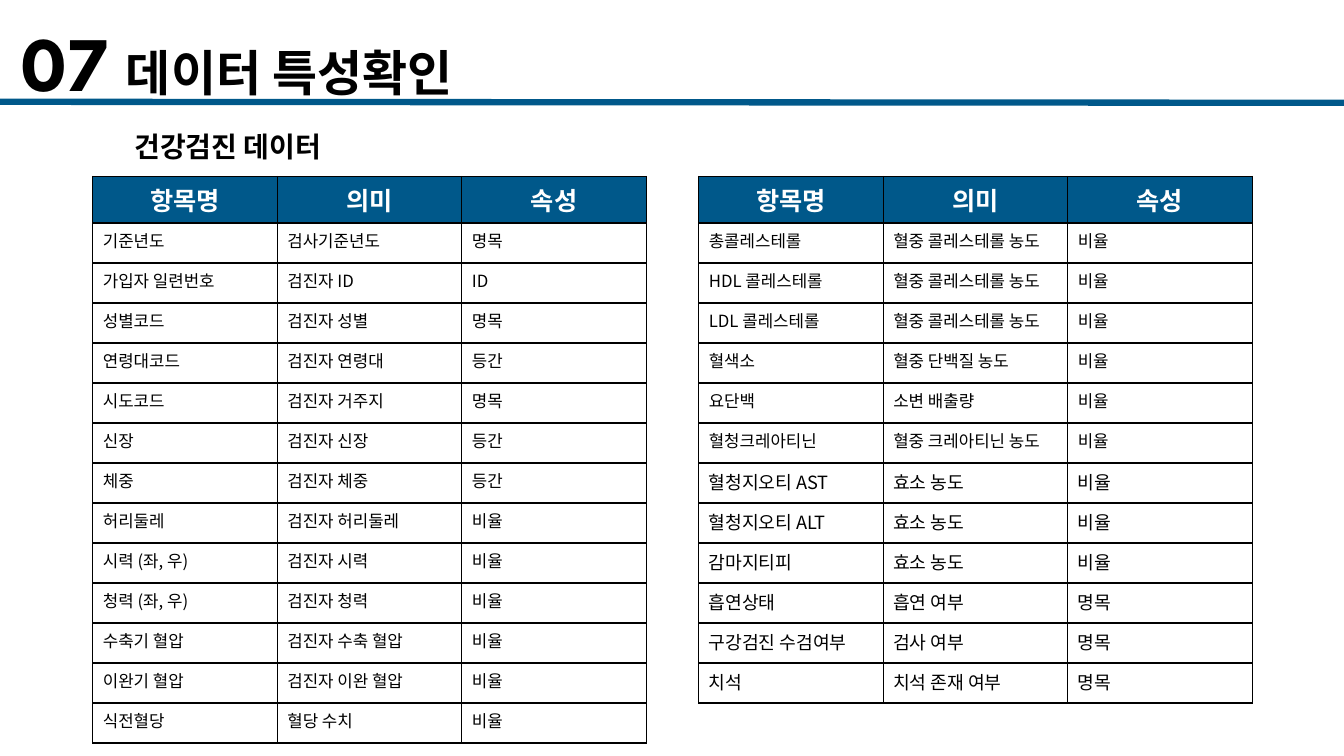
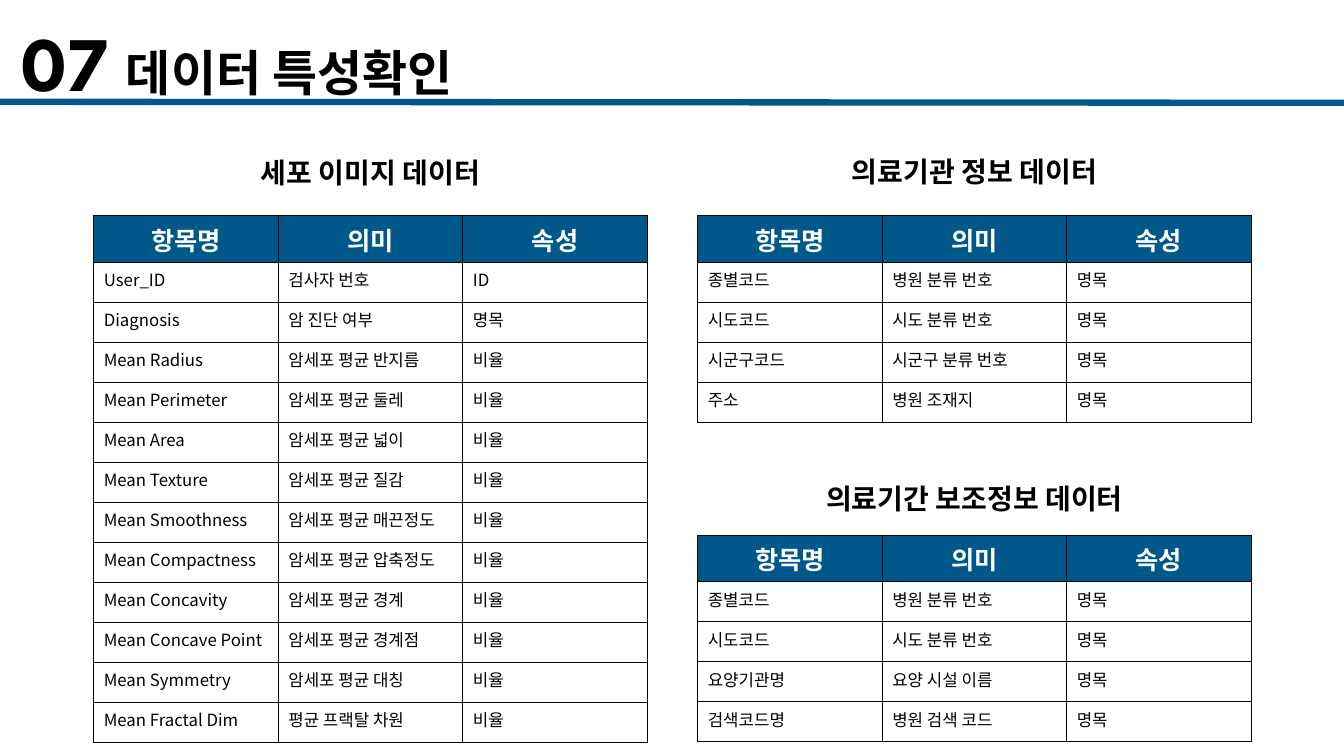
"""Build two slides that list the fields, meanings and scales of the data sets."""
import pptx
import pptx.dml.color
import pptx.enum.shapes
import pptx.enum.text
import pptx.oxml
import pptx.oxml.ns
import pptx.util

Inches = pptx.util.Inches
Pt = pptx.util.Pt
ALIGN = pptx.enum.text.PP_ALIGN
MIDDLE = pptx.enum.text.MSO_ANCHOR.MIDDLE

BLUE = pptx.dml.color.RGBColor(0x00, 0x58, 0x8A)
BLACK = pptx.dml.color.RGBColor(0x00, 0x00, 0x00)
WHITE = pptx.dml.color.RGBColor(0xFF, 0xFF, 0xFF)
KOREAN_FONT = "Noto Sans CJK KR"
TITLE_FONT = "League Spartan"

TITLE_SPANS = [("07", 55), (" ", 46.7), ("데이터 특성확인", 35)]
HEADER = ("항목명", "의미", "속성")
TABLE_WIDTH = Inches(5.49)
ROW_HEIGHT = Inches(5.16) // 13
HEADER_FORMAT = {"name": KOREAN_FONT, "size": Pt(18), "bold": True}
BODY_FORMAT = {"name": KOREAN_FONT, "size": Pt(12), "bold": False}
LARGE_BODY_FORMAT = BODY_FORMAT | {"size": Pt(13)}
HEADING_FORMAT = {"name": KOREAN_FONT, "size": Pt(20), "bold": True}

CHECKUP = [
    ("기준년도", "검사기준년도", "명목"),
    ("가입자 일련번호", "검진자 ID", "ID"),
    ("성별코드", "검진자 성별", "명목"),
    ("연령대코드", "검진자 연령대", "등간"),
    ("시도코드", "검진자 거주지", "명목"),
    ("신장", "검진자 신장", "등간"),
    ("체중", "검진자 체중", "등간"),
    ("허리둘레", "검진자 허리둘레", "비율"),
    ("시력 (좌, 우)", "검진자 시력", "비율"),
    ("청력 (좌, 우)", "검진자 청력", "비율"),
    ("수축기 혈압", "검진자 수축 혈압", "비율"),
    ("이완기 혈압", "검진자 이완 혈압", "비율"),
    ("식전혈당", "혈당 수치", "비율"),
]
BLOOD = [
    ("총콜레스테롤", "혈중 콜레스테롤 농도", "비율"),
    ("HDL 콜레스테롤", "혈중 콜레스테롤 농도", "비율"),
    ("LDL 콜레스테롤", "혈중 콜레스테롤 농도", "비율"),
    ("혈색소", "혈중 단백질 농도", "비율"),
    ("요단백", "소변 배출량", "비율"),
    ("혈청크레아티닌", "혈중 크레아티닌 농도", "비율"),
]
ENZYMES_AND_HABITS = [
    ("혈청지오티 AST", "효소 농도", "비율"),
    ("혈청지오티 ALT", "효소 농도", "비율"),
    ("감마지티피", "효소 농도", "비율"),
    ("흡연상태", "흡연 여부", "명목"),
    ("구강검진 수검여부", "검사 여부", "명목"),
    ("치석", "치석 존재 여부", "명목"),
]
CELL_IMAGES = [
    ("User_ID", "검사자 번호", "ID"),
    ("Diagnosis", "암 진단 여부", "명목"),
    ("Mean Radius", "암세포 평균 반지름", "비율"),
    ("Mean Perimeter", "암세포 평균 둘레", "비율"),
    ("Mean Area", "암세포 평균 넓이", "비율"),
    ("Mean Texture", "암세포 평균 질감", "비율"),
    ("Mean Smoothness", "암세포 평균 매끈정도", "비율"),
    ("Mean Compactness", "암세포 평균 압축정도", "비율"),
    ("Mean Concavity", "암세포 평균 경계", "비율"),
    ("Mean Concave Point", "암세포 평균 경계점", "비율"),
    ("Mean Symmetry", "암세포 평균 대칭", "비율"),
    ("Mean Fractal Dim", "평균 프랙탈 차원", "비율"),
]
REGION_CODES = [
    ("종별코드", "병원 분류 번호", "명목"),
    ("시도코드", "시도 분류 번호", "명목"),
]
INSTITUTIONS = REGION_CODES + [
    ("시군구코드", "시군구 분류 번호", "명목"),
    ("주소", "병원 조재지", "명목"),
]
INSTITUTION_DETAILS = REGION_CODES + [
    ("요양기관명", "요양 시설 이름", "명목"),
    ("검색코드명", "병원 검색 코드", "명목"),
]

PAGES = [
    {
        "headings": [("건강검진 데이터", 0.92, 1.01, 2.68)],
        "tables": [(0.92, 1.75, CHECKUP, []),
                   (6.93, 1.75, BLOOD, ENZYMES_AND_HABITS)],
    },
    {
        "headings": [("세포 이미지 데이터", 0.93, 1.27, 5.49),
                     ("의료기관 정보 데이터", 6.92, 1.26, 5.49),
                     ("의료기간 보조정보 데이터", 6.92, 4.5, 5.49)],
        "tables": [(0.93, 2.14, CELL_IMAGES, []),
                   (6.92, 2.14, INSTITUTIONS, []),
                   (6.92, 5.31, INSTITUTION_DETAILS, [])],
    },
]


def add_span(para, text, font_format, color=BLACK):
    span = para.add_run()
    span.text = text
    for name, value in font_format.items():
        setattr(span.font, name, value)
    span.font.color.rgb = color
    east_asian = pptx.oxml.parse_xml(
        f'<a:ea {pptx.oxml.ns.nsdecls("a")} typeface="{KOREAN_FONT}"/>')
    span.font._element.append(east_asian)


def add_title(page):
    title = page.shapes.title
    title.left, title.top = Inches(0.08), Inches(0.2)
    title.width, title.height = Inches(12.67), Inches(0.81)
    frame_format = {
        "auto_size": pptx.enum.text.MSO_AUTO_SIZE.NONE,
        "word_wrap": True,
        "vertical_anchor": MIDDLE,
        "margin_left": Inches(0.13),
        "margin_right": Inches(0.13),
        "margin_top": Inches(0.07),
        "margin_bottom": Inches(0.07),
    }
    for name, value in frame_format.items():
        setattr(title.text_frame, name, value)
    para = title.text_frame.paragraphs[0]
    para.alignment = ALIGN.LEFT
    for text, size in TITLE_SPANS:
        add_span(para, text, {"name": TITLE_FONT, "size": Pt(size), "bold": True})


def add_rule(page, width):
    rule = page.shapes.add_connector(
        pptx.enum.shapes.MSO_CONNECTOR.STRAIGHT, 0, Inches(1.01), width, Inches(1.02))
    rule.line.color.rgb = BLUE
    rule.line.width = Pt(4.5)
    rule._element.spPr.append(
        pptx.oxml.parse_xml(f'<a:effectLst {pptx.oxml.ns.nsdecls("a")}/>'))


def add_heading(page, text, left, top, width):
    box = page.shapes.add_textbox(Inches(left), Inches(top), Inches(width), Inches(0.55))
    box.text_frame.word_wrap = True
    box.text_frame.vertical_anchor = MIDDLE
    para = box.text_frame.paragraphs[0]
    para.alignment = ALIGN.CENTER
    para.line_spacing = 2.0
    add_span(para, text, HEADING_FORMAT)


def add_borders(cell):
    properties = cell._tc.get_or_add_tcPr()
    for position, side in enumerate("LRTB"):
        properties.insert(position, pptx.oxml.parse_xml(
            f'<a:ln{side} {pptx.oxml.ns.nsdecls("a")} w="{Pt(1)}">'
            f'<a:solidFill><a:srgbClr val="{BLACK}"/></a:solidFill></a:ln{side}>'))


def add_field_table(page, left, top, rows, large_rows):
    styled_rows = [(HEADER, HEADER_FORMAT)]
    styled_rows += [(row, BODY_FORMAT) for row in rows]
    styled_rows += [(row, LARGE_BODY_FORMAT) for row in large_rows]
    count = len(styled_rows)
    table = page.shapes.add_table(count, len(HEADER), Inches(left), Inches(top),
                                  TABLE_WIDTH, ROW_HEIGHT * count).table
    table.horz_banding = False
    for row_index, (texts, font_format) in enumerate(styled_rows):
        is_header = row_index == 0
        for column_index, text in enumerate(texts):
            cell = table.cell(row_index, column_index)
            cell.fill.solid()
            cell.fill.fore_color.rgb = BLUE if is_header else WHITE
            add_borders(cell)
            para = cell.text_frame.paragraphs[0]
            if is_header:
                cell.vertical_anchor = MIDDLE
                para.alignment = ALIGN.CENTER
            add_span(para, text, font_format, WHITE if is_header else BLACK)


def main():
    deck = pptx.Presentation()
    deck.slide_width, deck.slide_height = Inches(13.33), Inches(7.5)
    for content in PAGES:
        page = deck.slides.add_slide(deck.slide_layouts.get_by_name("Title Only"))
        add_rule(page, deck.slide_width)
        add_title(page)
        for table in content["tables"]:
            add_field_table(page, *table)
        for heading in content["headings"]:
            add_heading(page, *heading)
    deck.save("out.pptx")


if __name__ == "__main__":
    main()
